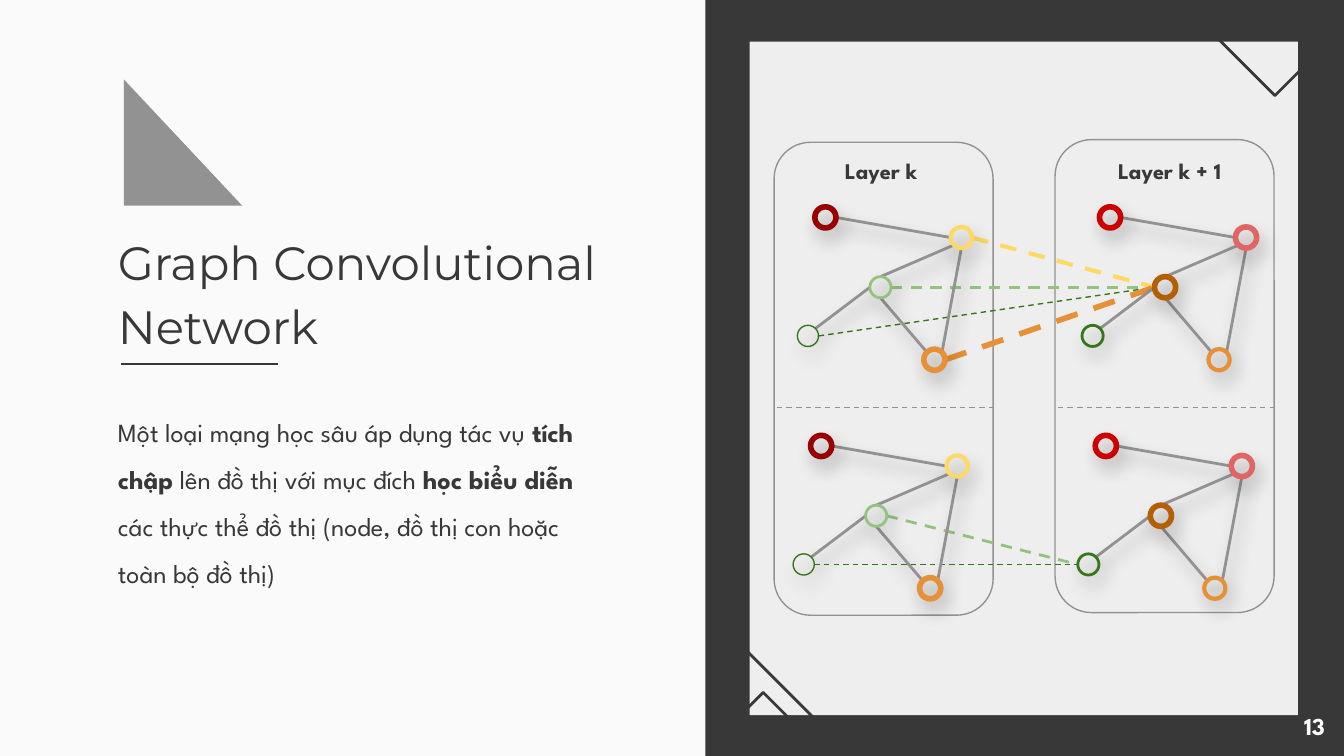
"""Builds the slide on graph convolutional networks."""
from pptx import Presentation, oxml, util as u
from pptx.dml.color import RGBColor
from pptx.enum import dml, shapes, text
from pptx.oxml import ns

Cm = u.Cm
COLORS = {
    "paper": "FAFAFA", "ink": "383838", "gray": "929292", "light": "EEEEEE", "white": "FFFFFF",
    "maroon": "990000", "red": "CC0000", "rose": "E06666", "yellow": "FFD966",
    "mint": "93C47D", "brown": "B45F06", "green": "38761D", "orange": "E69138",
}
SHADOW = (
    '<a:outerShdw blurRad="114300" dist="76200" dir="3960000" algn="bl" rotWithShape="0">'
    '<a:srgbClr val="000000"><a:alpha val="29000"/></a:srgbClr></a:outerShdw>'
)


def write(content, left, top, width, height, size, color="ink", font="League Spartan", bold=False,
          align=text.PP_ALIGN.LEFT, anchor=text.MSO_ANCHOR.TOP, spacing=1.0):
    """Adds a text box; parts between asterisks are bold."""
    frame = slide.shapes.add_textbox(Cm(left), Cm(top), Cm(width), Cm(height)).text_frame
    frame.word_wrap = True
    frame.vertical_anchor = anchor
    frame.margin_left = frame.margin_right = frame.margin_top = frame.margin_bottom = Cm(0.25)
    paragraph = frame.paragraphs[0]
    paragraph.alignment = align
    paragraph.line_spacing = spacing
    for index, part in enumerate(content.split("*")):
        run = paragraph.add_run()
        run.text = part
        run.font.name = font
        run.font.size = u.Pt(size)
        run.font.bold = bold or index % 2 == 1
        run.font.color.rgb = RGBColor.from_string(COLORS[color])


def outline(item, color, width, dashed=False, shadow=""):
    """Sets the line and the shadow of a shape or connector."""
    item.line.color.rgb = RGBColor.from_string(COLORS[color])
    item.line.width = u.Pt(width)
    if dashed:
        item.line.dash_style = dml.MSO_LINE.DASH
    effects = f'<a:effectLst {ns.nsdecls("a")}>{shadow}</a:effectLst>'
    item.element.spPr.append(oxml.parse_xml(effects))


deck = Presentation()
deck.slide_width, deck.slide_height = Cm(25.4), Cm(14.29)
slide = deck.slides.add_slide(deck.slide_layouts[6])
slide.background.fill.solid()
slide.background.fill.fore_color.rgb = RGBColor.from_string(COLORS["paper"])
SHAPE = shapes.MSO_SHAPE
STRAIGHT = shapes.MSO_CONNECTOR.STRAIGHT

for kind, color, *box in (
    (SHAPE.RECTANGLE, "ink", 13.33, -0.61, 12.07, 15.62),
    (SHAPE.RIGHT_TRIANGLE, "gray", 2.34, 1.5, 2.24, 2.39),
    (SHAPE.RECTANGLE, "light", 14.17, 0.79, 10.36, 12.73),
):
    block = slide.shapes.add_shape(kind, *map(Cm, box))
    block.fill.solid()
    block.fill.fore_color.rgb = RGBColor.from_string(COLORS[color])
    block.line.fill.background()
    block.shadow.inherit = False

write("Graph Convolutional Network", 1.98, 4.01, 11.28, 2.82, 25, font="Montserrat", spacing=1.15)
write("Một loại mạng học sâu áp dụng tác vụ *tích chập* lên đồ thị với mục đích *học biểu diễn*"
      " các thực thể đồ thị (node, đồ thị con hoặc toàn bộ đồ thị)",
      1.98, 7.32, 9.45, 4.57, 14, spacing=1.5)
underline = slide.shapes.add_connector(STRAIGHT, Cm(2.29), Cm(6.88), Cm(5.26), Cm(6.88))
outline(underline, "ink", 1.5)
write("13", 23.77, 13.18, 1.52, 1.09, 13, color="white", bold=True,
      align=text.PP_ALIGN.RIGHT, anchor=text.MSO_ANCHOR.MIDDLE)

for label, left, top, label_left, label_width in (
    ("Layer k", 14.63, 2.69, 15.72, 2.16),
    ("Layer k + 1", 19.94, 2.64, 20.88, 2.64),
):
    panel = slide.shapes.add_shape(SHAPE.ROUNDED_RECTANGLE, Cm(left), Cm(top), Cm(4.14), Cm(8.94))
    panel.fill.background()
    outline(panel, "gray", 0.75)
    divider = slide.shapes.add_connector(
        STRAIGHT, Cm(left + 0.05), Cm(7.7), Cm(left + 4.14), Cm(7.7))
    outline(divider, "gray", 0.75, dashed=True)
    write(label, label_left, 2.72, label_width, 1.02, 12, bold=True)

RADIUS = 0.2
NODES = {"start": (0, 0), "far": (2.57, 0.38), "hub": (1.04, 1.32),
         "leaf": (-0.33, 2.24), "low": (2.06, 2.69)}
SIDES = {"N": (0, -1), "S": (0, 1), "W": (-1, 0), "E": (1, 0),
         "NW": (-0.71, -0.71), "NE": (0.71, -0.71), "SW": (-0.71, 0.71)}
EDGES = (("start", "E", "far", "W"), ("far", "SW", "hub", "N"), ("hub", "S", "low", "NW"),
         ("far", "S", "low", "NE"), ("hub", "W", "leaf", "NE"))
CURRENT = {"start": ("maroon", 3), "far": ("yellow", 2.25), "hub": ("mint", 1.5),
           "leaf": ("green", 0.75), "low": ("orange", 3)}
FOLLOWING = {"start": ("red", 3), "far": ("rose", 3), "hub": ("brown", 3),
             "leaf": ("green", 1.5), "low": ("orange", 2.25)}
LAYER_STEP = 5.38

for graph_left, graph_top, sources, target in (
    (15.6, 4.11, ("hub", "leaf", "far", "low"), "hub"),
    (15.52, 8.43, ("hub", "leaf"), "leaf"),
):
    lines = [(0, source, "E", LAYER_STEP, target, "W", *CURRENT[source], True, "")
             for source in sources]
    for shift in (0, LAYER_STEP):
        lines += [(shift, tail, tail_side, shift, head, head_side, "gray", 1.5, False, SHADOW)
                  for tail, tail_side, head, head_side in EDGES]
    for shift, tail, tail_side, head_shift, head, head_side, color, width, dashed, shadow in lines:
        ends = []
        for name, side, offset in ((tail, tail_side, shift), (head, head_side, head_shift)):
            ends.append(Cm(graph_left + offset + NODES[name][0] + RADIUS * SIDES[side][0]))
            ends.append(Cm(graph_top + NODES[name][1] + RADIUS * SIDES[side][1]))
        outline(slide.shapes.add_connector(STRAIGHT, *ends), color, width, dashed, shadow)
    for shift, rings in ((0, CURRENT), (LAYER_STEP, FOLLOWING)):
        for name, (x, y) in NODES.items():
            node = slide.shapes.add_shape(
                SHAPE.OVAL, Cm(graph_left + shift + x - RADIUS), Cm(graph_top + y - RADIUS),
                Cm(2 * RADIUS), Cm(2 * RADIUS))
            node.fill.background()
            outline(node, *rings[name], shadow=SHADOW)

for left, top, width, height, turn in (
    (23.04, -0.74, 2.11, 2.11, 315),
    (13.89, 13.31, 1.3, 1.63, 135),
    (13.77, 11.96, 2.41, 2.41, 0),
):
    corner = slide.shapes.add_shape(
        SHAPE.RIGHT_TRIANGLE, Cm(left), Cm(top), Cm(width), Cm(height))
    corner.rotation = turn
    corner.fill.background()
    outline(corner, "ink", 1.5)

deck.save("out.pptx")
